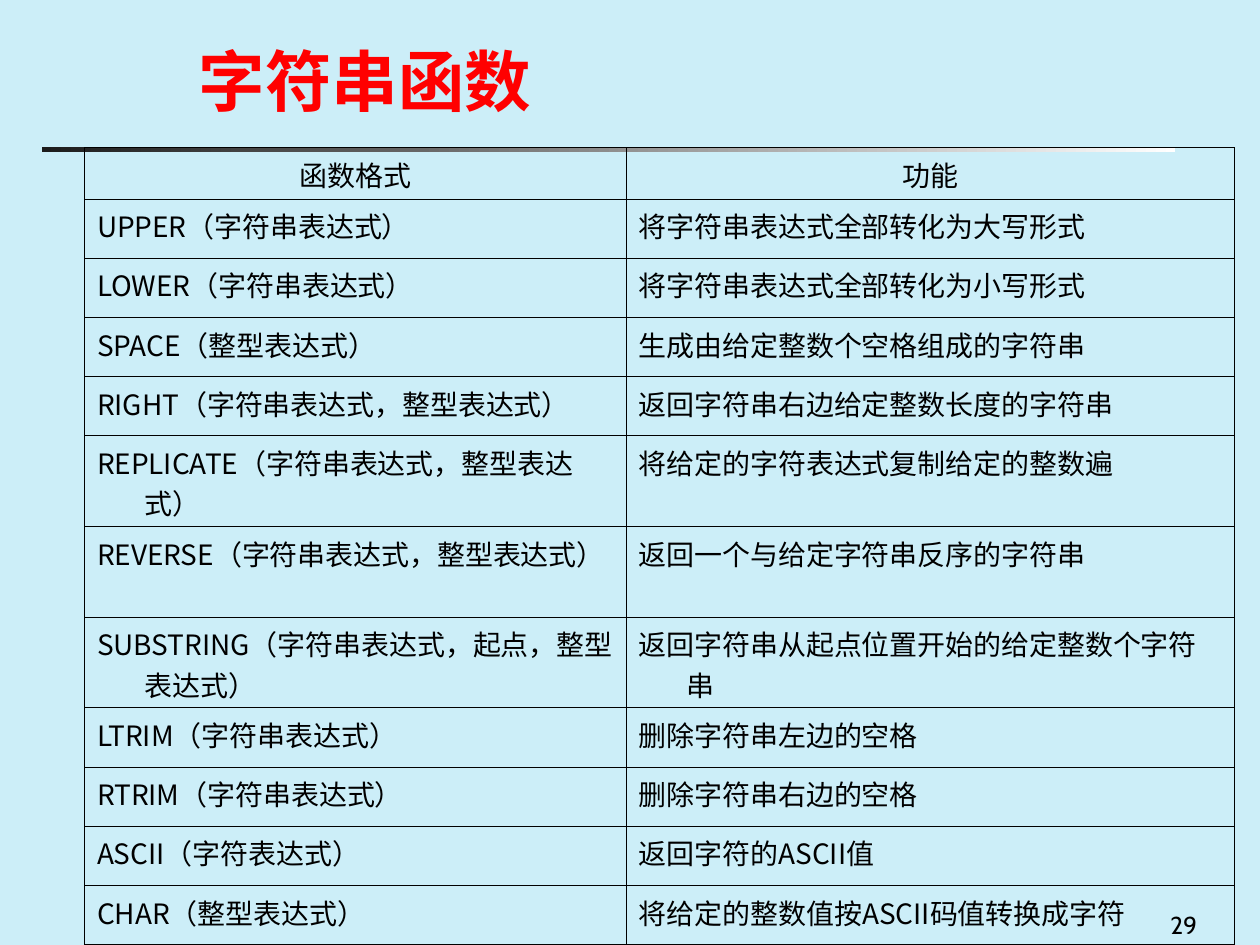
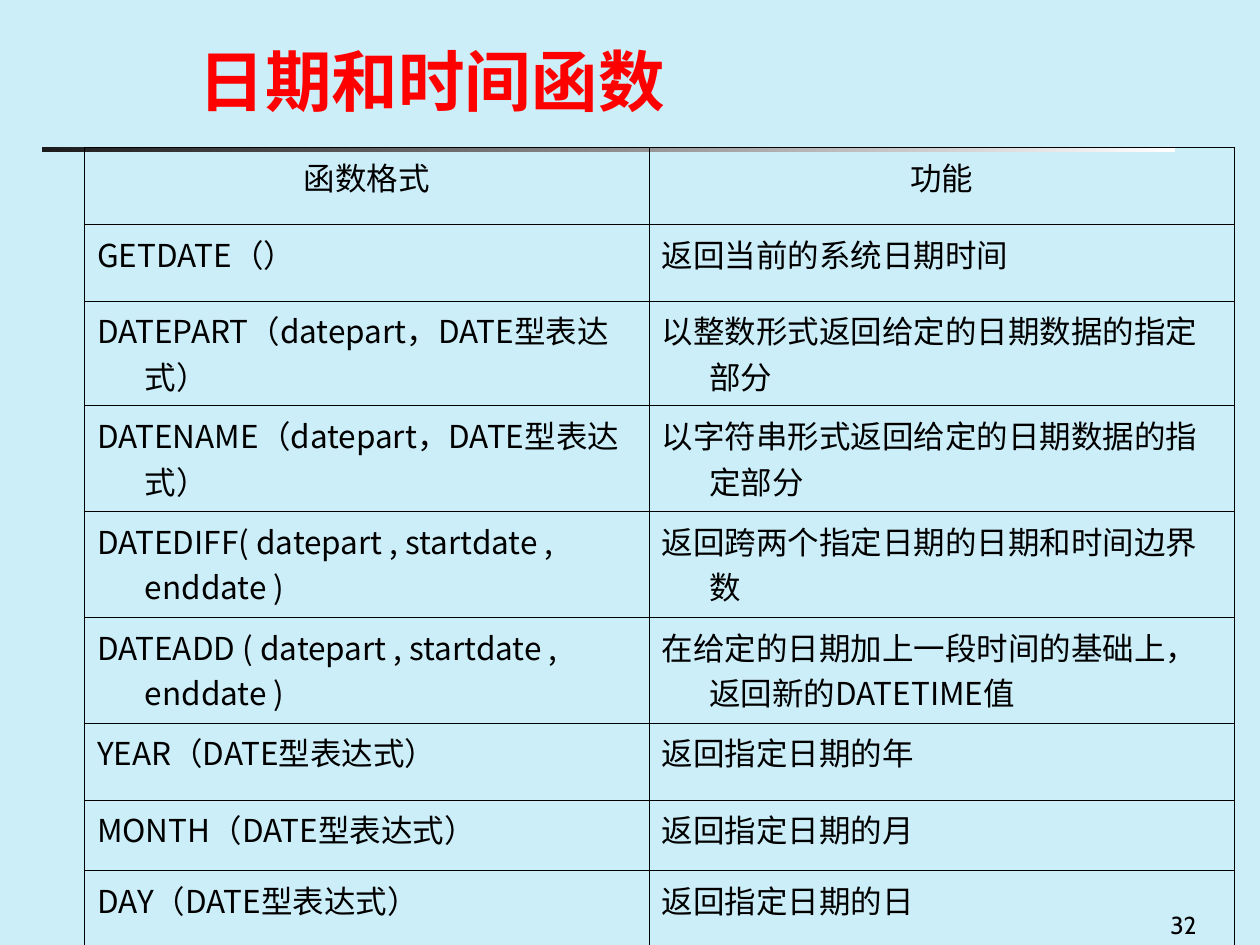
from dataclasses import dataclass

from lxml import etree
from pptx import Presentation
from pptx.dml.color import RGBColor
from pptx.enum.shapes import MSO_SHAPE
from pptx.enum.text import MSO_ANCHOR, PP_ALIGN
from pptx.oxml.ns import qn
from pptx.util import Inches, Pt

RECT = MSO_SHAPE.RECTANGLE
TOP, LOW = MSO_ANCHOR.TOP, MSO_ANCHOR.BOTTOM
LEFT, MID = PP_ALIGN.LEFT, PP_ALIGN.CENTER
SIDES = ("a:lnL", "a:lnR", "a:lnT", "a:lnB")


@dataclass(frozen=True)
class Theme:
    back: str = "CCEEF8"
    ink: str = "000000"
    head: str = "FF0000"
    dark: str = "1C1C1C"
    light: str = "FFFFFF"
    sans: str = "Cabin"
    han: str = "Noto Sans CJK SC"
    serif: str = "Times New Roman"
    title: int = 38
    page: int = 14
    edge: float = 0.45
    hang: float = 0.38


THEME = Theme()

STRINGS = [
    (0.41, "函数格式", "功能"),
    (0.47, "UPPER（字符串表达式）", "将字符串表达式全部转化为大写形式"),
    (0.47, "LOWER（字符串表达式）", "将字符串表达式全部转化为小写形式"),
    (0.47, "SPACE（整型表达式）", "生成由给定整数个空格组成的字符串"),
    (0.47, "RIGHT（字符串表达式，整型表达式）", "返回字符串右边给定整数长度的字符串"),
    (0.72, "REPLICATE（字符串表达式，整型表达式）", "将给定的字符表达式复制给定的整数遍"),
    (0.72, "REVERSE（字符串表达式，整型表达式）", "返回一个与给定字符串反序的字符串"),
    (0.72, "SUBSTRING（字符串表达式，起点，整型表达式）",
     "返回字符串从起点位置开始的给定整数个字符串"),
    (0.47, "LTRIM（字符串表达式）", "删除字符串左边的空格"),
    (0.47, "RTRIM（字符串表达式）", "删除字符串右边的空格"),
    (0.47, "ASCII（字符表达式）", "返回字符的ASCII值"),
    (0.47, "CHAR（整型表达式）", "将给定的整数值按ASCII码值转换成字符"),
]

DATES = [
    (0.61, "函数格式", "功能"),
    (0.61, "GETDATE（）", "返回当前的系统日期时间"),
    (0.83, "DATEPART（datepart，DATE型表达式）",
     "以整数形式返回给定的日期数据的指定部分", THEME.serif),
    (0.84, "DATENAME（datepart，DATE型表达式）",
     "以字符串形式返回给定的日期数据的指定部分", THEME.serif),
    (0.84, "DATEDIFF( datepart , startdate , enddate )",
     "返回跨两个指定日期的日期和时间边界数"),
    (0.84, "DATEADD ( datepart , startdate , enddate )",
     "在给定的日期加上一段时间的基础上，返回新的DATETIME值"),
    (0.61, "YEAR（DATE型表达式）", "返回指定日期的年"),
    (0.56, "MONTH（DATE型表达式）", "返回指定日期的月"),
    (0.61, "DAY（DATE型表达式）", "返回指定日期的日"),
]


def rgb(code):
    return RGBColor.from_string(code)


def write(frame, text, size, face, color=THEME.ink, bold=False, align=LEFT):
    para = frame.paragraphs[0]
    para.text = text
    para.alignment = align
    font = para.font
    font.size, font.name, font.bold = Pt(size), face, bold
    font.color.rgb = rgb(color)
    return para


def add_text(slide, box, text, size, color=THEME.ink, bold=False, anchor=TOP):
    frame = slide.shapes.add_textbox(*map(Inches, box)).text_frame
    frame.word_wrap = True
    frame.vertical_anchor = anchor
    write(frame, text, size, THEME.sans, color, bold)


def add_rule(slide):
    rule = slide.shapes.add_shape(
        RECT, Inches(0.33), Inches(1.17), Inches(9), Inches(0.04))
    rule.shadow.inherit = False
    rule.line.fill.background()
    rule.fill.gradient()
    rule.fill.gradient_angle = 180
    tones = (THEME.light, THEME.dark)
    for spot, (stop, tone) in enumerate(zip(rule.fill.gradient_stops, tones)):
        stop.position = spot
        stop.color.rgb = rgb(tone)


def add_edges(cell):
    props = cell._tc.get_or_add_tcPr()
    for side in SIDES:
        line = etree.SubElement(props, qn(side), w=str(Pt(THEME.edge)))
        fill = etree.SubElement(line, qn("a:solidFill"))
        etree.SubElement(fill, qn("a:srgbClr"), val=THEME.ink)


def fill_cell(cell, text, size, face, align):
    add_edges(cell)
    cell.fill.background()
    para = write(cell.text_frame, text, size, face, align=align)
    props = para._p.get_or_add_pPr()
    props.set("marL", str(Inches(THEME.hang)))
    props.set("indent", str(-Inches(THEME.hang)))


def add_grid(slide, rows, widths, size):
    tall = sum(row[0] for row in rows)
    grid = slide.shapes.add_table(
        len(rows), len(widths), Inches(0.67), Inches(1.17),
        Inches(sum(widths)), Inches(tall)).table
    grid.first_row = grid.horz_banding = False
    for col, width in zip(grid.columns, widths):
        col.width = Inches(width)
    for y, (height, form, use, *face) in enumerate(rows):
        grid.rows[y].height = Inches(height)
        align = LEFT if y else MID
        faces = [THEME.han, *(face or [THEME.han])]
        for x, text in enumerate((form, use)):
            fill_cell(grid.cell(y, x), text, size, faces[x], align)


def add_slide(deck, title, page, rows, widths, size):
    slide = deck.slides.add_slide(deck.slide_layouts[6])
    back = slide.background.fill
    back.solid()
    back.fore_color.rgb = rgb(THEME.back)
    add_rule(slide)
    add_text(slide, (9.19, 7.17, 1.14, 0.39), page, THEME.page)
    add_text(slide, (1.48, 0, 8.52, 1), title, THEME.title,
             THEME.head, True, LOW)
    add_grid(slide, rows, widths, size)


def main():
    deck = Presentation()
    deck.slide_width, deck.slide_height = Inches(10), Inches(7.5)
    add_slide(deck, "字符串函数", "29", STRINGS, (4.3, 4.83), 16)
    add_slide(deck, "日期和时间函数", "32", DATES, (4.48, 4.65), 18)
    deck.save("out.pptx")


if __name__ == "__main__":
    main()
